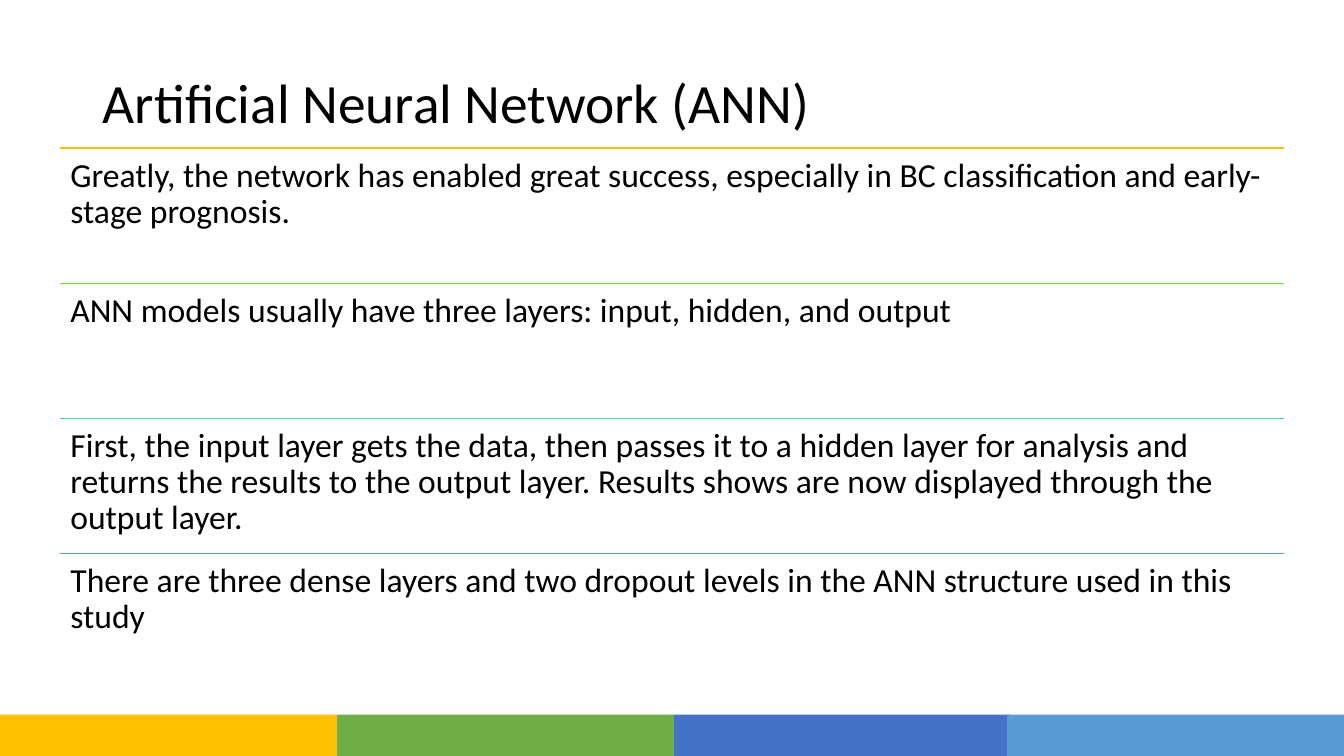
from lxml.etree import SubElement
from pptx import Presentation
from pptx.dml.color import RGBColor
from pptx.enum.shapes import MSO_CONNECTOR as Connector, MSO_SHAPE as Shape
from pptx.enum.text import MSO_ANCHOR as Anchor, MSO_AUTO_SIZE as AutoSize, PP_ALIGN as Align
from pptx.oxml.ns import qn
from pptx.util import Inches, Pt

TITLE = "Artificial Neural Network (ANN)"
COLORS = {
    "text": "000000",
    "gold": "FFC000",
    "green": "70AD47",
    "blue": "4472C4",
    "sky": "5B9BD5",
    "lime": "67EF21",
    "mint": "3FE19B",
}
POINTS = [
    ("gold", "Greatly, the network has enabled great success, especially in BC classification and early-stage prognosis."),
    ("lime", "ANN models usually have three layers: input, hidden, and output"),
    ("mint", "First, the input layer gets the data, then passes it to a hidden layer for analysis and returns the results to the output layer. Results shows are now displayed through the output layer."),
    ("sky", "There are three dense layers and two dropout levels in the ANN structure used in this study"),
]
FOOTER = ["gold", "green", "blue", "sky"]

WIDTH, HEIGHT = 13.33, 7.5
BAND_WIDTH, BAND_HEIGHT = 3.34, 0.41
LIST_LEFT, LIST_TOP = 0.6, 1.47
ROW_WIDTH, ROW_HEIGHT = 12.14, 1.34
TITLE_BOX = (0.92, 0.52, 7.58, 1.06)
INSET = Inches(0.1)
TITLE_FRAME = {"word_wrap": True, "auto_size": AutoSize.NONE, "vertical_anchor": Anchor.MIDDLE}
POINT_FRAME = {
    "word_wrap": True,
    "auto_size": AutoSize.NONE,
    "vertical_anchor": Anchor.TOP,
    "margin_left": INSET,
    "margin_top": INSET,
    "margin_right": INSET,
    "margin_bottom": INSET,
}
PARAGRAPH = {"alignment": Align.LEFT, "line_spacing": 0.9, "space_before": Pt(0)}


def color(name):
    return RGBColor.from_string(COLORS[name])


def apply(target, values):
    for name, value in values.items():
        setattr(target, name, value)


def write(box, text, size, frame_values):
    frame = box.text_frame
    apply(frame, frame_values)
    para = frame.paragraphs[0]
    apply(para, PARAGRAPH)
    span = para.add_run()
    span.text = text
    apply(span.font, {"name": "Calibri", "size": Pt(size), "bold": False})
    span.font.color.rgb = color("text")


def add_band(page, column, name):
    left = min(column * BAND_WIDTH, WIDTH - BAND_WIDTH)
    band = page.shapes.add_shape(
        Shape.RECTANGLE,
        *map(Inches, (left, HEIGHT - BAND_HEIGHT, BAND_WIDTH, BAND_HEIGHT)),
    )
    band.shadow.inherit = False
    band.fill.solid()
    band.fill.fore_color.rgb = color(name)
    band.line.fill.background()


def add_point(page, row, name, text):
    top = LIST_TOP + row * ROW_HEIGHT
    rule = page.shapes.add_connector(
        Connector.STRAIGHT, *map(Inches, (LIST_LEFT, top, LIST_LEFT + ROW_WIDTH, top))
    )
    rule.line.color.rgb = color(name)
    rule.line.width = Pt(1)
    SubElement(rule._element.spPr, qn("a:effectLst"))
    box = page.shapes.add_textbox(*map(Inches, (LIST_LEFT, top, ROW_WIDTH, ROW_HEIGHT)))
    write(box, text, 24, POINT_FRAME)


def main():
    deck = Presentation()
    deck.slide_width, deck.slide_height = Inches(WIDTH), Inches(HEIGHT)
    page = deck.slides.add_slide(deck.slide_layouts[5])
    title = page.shapes.title
    apply(title, dict(zip(("left", "top", "width", "height"), map(Inches, TITLE_BOX))))
    write(title, TITLE, 39.6, TITLE_FRAME)
    for column, name in enumerate(FOOTER):
        add_band(page, column, name)
    for row, (name, text) in enumerate(POINTS):
        add_point(page, row, name, text)
    deck.save("out.pptx")


if __name__ == "__main__":
    main()
